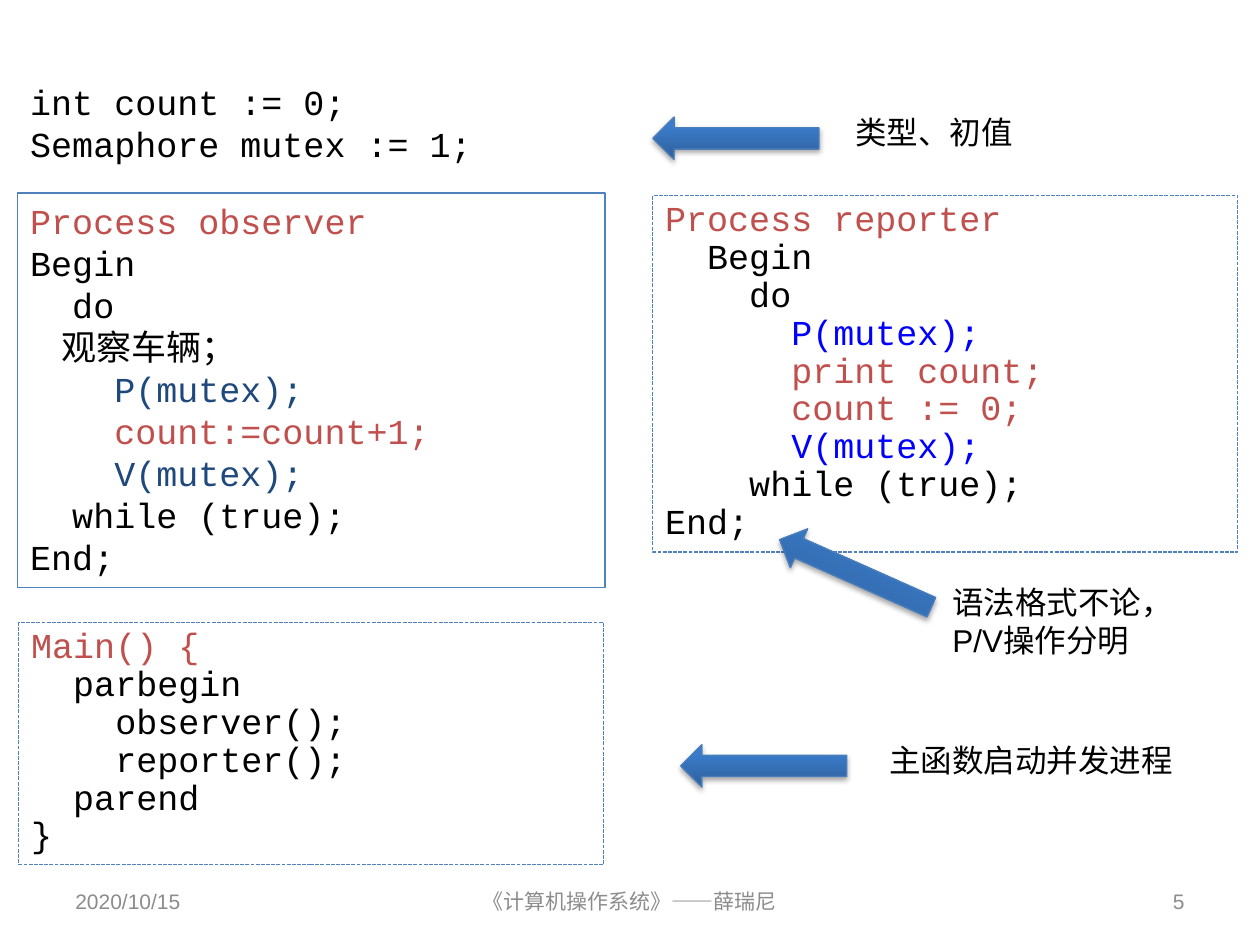
from lxml import etree
from pptx import Presentation
from pptx.dml.color import RGBColor
from pptx.enum.dml import MSO_LINE
from pptx.enum.shapes import MSO_SHAPE
from pptx.enum.text import MSO_ANCHOR, PP_ALIGN
from pptx.oxml import parse_xml
from pptx.util import Cm, Pt

COLOURS = {
    "black": "000000", "red": "C0504D", "blue": "0000FF", "navy": "1F497D",
    "grey": "8C8C8C", "frame": "4F81BD", "arrow_edge": "4B7EBC",
    "arrow_dark": "2F5F99", "arrow_light": "3A7CCB",
}
CODE = {"name": "Courier New", "size": Pt(20)}
LABEL = {"name": "Arial", "size": Pt(18)}
FOOTER = {"name": "Arial", "size": Pt(12)}
FOOTER_TITLE = {"name": "DejaVu Sans Mono", "size": Pt(12)}
SHADOW = (
    '<a:effectLst xmlns:a="http://schemas.openxmlformats.org/drawingml/2006/main">'
    '<a:outerShdw blurRad="40000" dist="23000" dir="5400000" rotWithShape="0">'
    '<a:srgbClr val="000000"><a:alpha val="35000"/></a:srgbClr>'
    '</a:outerShdw></a:effectLst>'
)


def colour(name):
    return RGBColor.from_string(COLOURS[name])


class CodePage:
    def __init__(self, deck):
        self.page = deck.slides.add_slide(deck.slide_layouts[6])

    def text(self, place, lines, font, wrap=True, anchor=MSO_ANCHOR.TOP,
             align=PP_ALIGN.LEFT, spacing=None):
        """Add a text box; each line is a (text, colour name) pair."""
        box = self.page.shapes.add_textbox(*map(Cm, place))
        frame = box.text_frame
        frame.word_wrap = wrap
        frame.vertical_anchor = anchor
        for index, (words, tint) in enumerate(lines):
            para = frame.paragraphs[0] if index == 0 else frame.add_paragraph()
            for key, value in {"alignment": align, "line_spacing": spacing}.items():
                setattr(para, key, value)
            span = para.add_run()
            span.text = words
            for key, value in font.items():
                setattr(span.font, key, value)
            span.font.color.rgb = colour(tint)
        return box

    def code(self, place, lines, dashed=True):
        """Add a framed listing; dashed frames are set tighter."""
        box = self.text(place, lines, CODE, spacing=0.9 if dashed else None)
        box.line.color.rgb = colour("frame")
        box.line.width = Pt(0.75)
        if dashed:
            box.line.dash_style = MSO_LINE.SQUARE_DOT

    def arrow(self, left, top, turn=0):
        arrow = self.page.shapes.add_shape(
            MSO_SHAPE.LEFT_ARROW, Cm(left), Cm(top), Cm(3.35), Cm(0.86))
        arrow.rotation = turn
        arrow.fill.gradient()
        arrow.fill.gradient_angle = 90
        stops = zip(arrow.fill.gradient_stops, (0, 0.8), ("arrow_dark", "arrow_light"))
        for stop, position, tint in stops:
            stop.position = position
            stop.color.rgb = colour(tint)
        arrow.line.color.rgb = colour("arrow_edge")
        arrow.line.width = Pt(0.75)
        arrow._element.spPr.append(parse_xml(SHADOW))

    def note(self, place, *lines):
        self.text(place, [(line, "black") for line in lines], LABEL, wrap=False)

    def footer(self, left, width, words, align, font=FOOTER):
        self.text((left, 17.65, width, 1.02), [(words, "grey")], font,
                  anchor=MSO_ANCHOR.MIDDLE, align=align)


def main():
    deck = Presentation()
    deck.slide_width, deck.slide_height = Cm(25.4), Cm(19.05)
    page = CodePage(deck)

    # Footer
    page.footer(1.27, 5.92, "2020/10/15", PP_ALIGN.LEFT)
    page.footer(7.19, 11, "《计算机操作系统》——薛瑞尼", PP_ALIGN.CENTER, FOOTER_TITLE)
    page.footer(18.21, 5.92, "5", PP_ALIGN.RIGHT)

    # Listings
    page.code((13.16, 3.94, 11.79, 7.19), [
        ("Process reporter", "red"),
        ("  Begin", "black"),
        ("    do", "black"),
        ("      P(mutex);", "blue"),
        ("      print count;", "red"),
        ("      count := 0;", "red"),
        ("      V(mutex);", "blue"),
        ("    while (true);", "black"),
        ("End;", "black"),
    ])
    page.code((0.36, 3.89, 11.84, 7.95), [
        ("Process observer", "red"),
        ("Begin", "black"),
        ("  do", "black"),
        ("    观察车辆；", "black"),
        ("    P(mutex);", "navy"),
        ("    count:=count+1;", "red"),
        ("    V(mutex);", "navy"),
        ("  while (true);", "black"),
        ("End;", "black"),
    ], dashed=False)
    page.text((0.36, 1.5, 12.7, 1.96), [
        ("int count := 0;", "black"),
        ("Semaphore mutex := 1;", "black"),
    ], CODE)
    page.code((0.38, 12.55, 11.79, 4.88), [
        ("Main() {", "red"),
        ("  parbegin", "black"),
        ("    observer();", "black"),
        ("    reporter();", "black"),
        ("  parend", "black"),
        ("}", "black"),
    ])

    # Arrows with their notes
    page.arrow(13.16, 2.36)
    page.note((16.99, 2.16, 3.71, 1.02), "类型、初值")
    page.arrow(15.57, 11.13, turn=24)
    page.note((18.95, 11.63, 5, 1.8), "语法格式不论，", "P/V操作分明")
    page.arrow(13.72, 15.01)
    page.note((17.68, 14.81, 6.27, 1.02), "主函数启动并发进程")

    deck.save("out.pptx")


if __name__ == "__main__":
    main()
